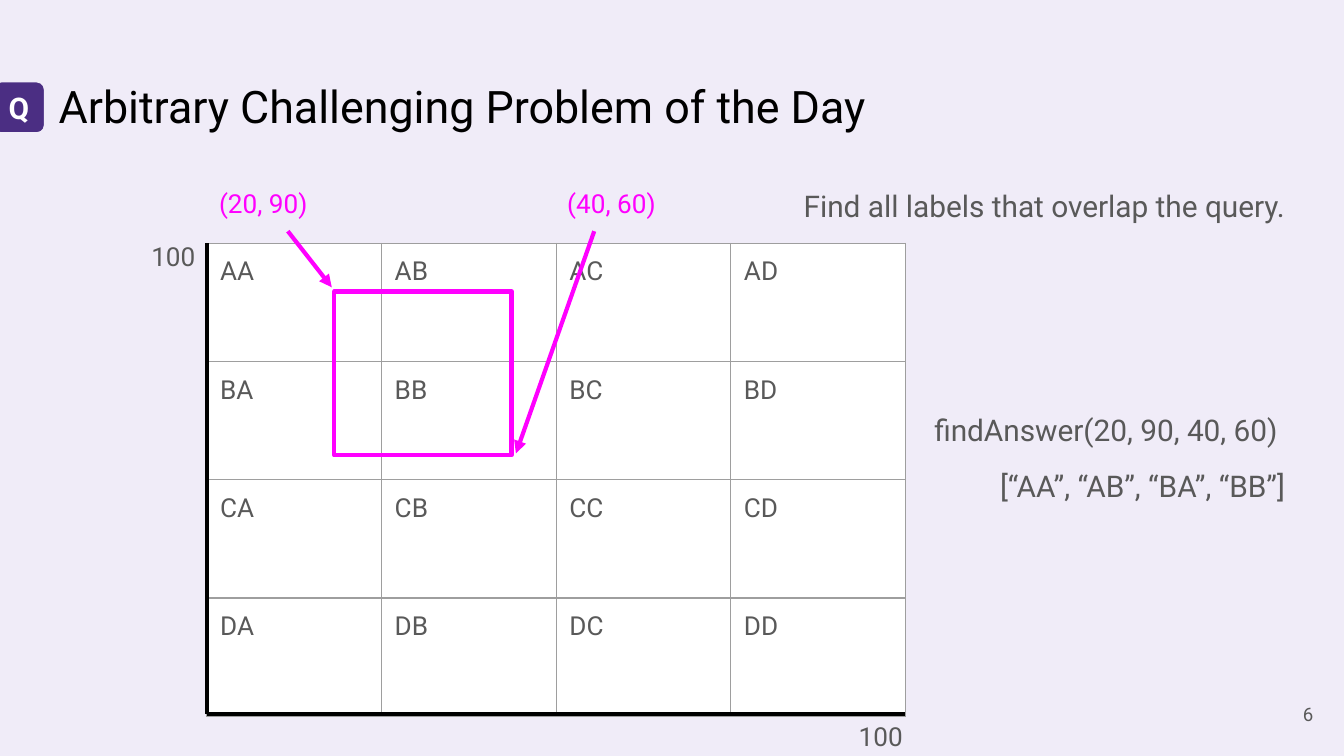
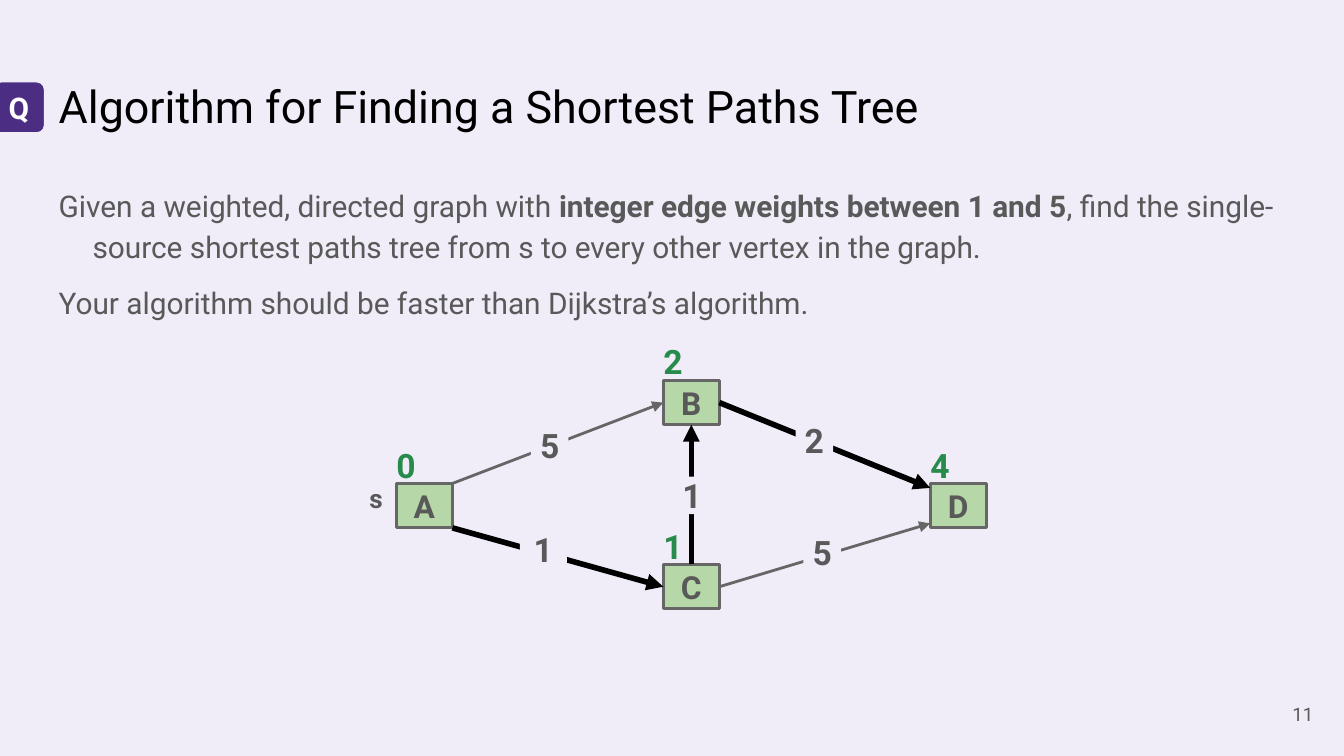
from dataclasses import dataclass
from pptx import Presentation
from pptx import util as u
from pptx.dml.color import RGBColor
from pptx.enum import shapes as sh, text as tx
from pptx.oxml import parse_xml
from pptx.oxml.ns import nsdecls
from lxml import etree

Cm, Pt = u.Cm, u.Pt
LEFT, MID, RIGHT = tx.PP_ALIGN.LEFT, tx.PP_ALIGN.CENTER, tx.PP_ALIGN.RIGHT
SITES = {(.5, 0): 0, (0, .5): 1, (.5, 1): 2, (1, .5): 3}


@dataclass(frozen=True)
class Theme:
    font: str = "Roboto"
    paper: str = "F0ECF8"
    white: str = "FFFFFF"
    black: str = "000000"
    grey: str = "595959"
    edge: str = "666666"
    rule: str = "9E9E9E"
    brand: str = "4B2E83"
    query: str = "FF00FF"
    node: str = "B6D7A8"
    dist: str = "278B4C"
    title: int = 24
    body: int = 16
    label: int = 14
    name: int = 17
    weight: int = 18
    page: int = 10


T = Theme()


def rgb(code):
    return RGBColor.from_string(code)


def style(par, size, color, bold=None, align=LEFT):
    par.alignment = align
    for run in par.runs:
        font = run.font
        font.name, font.size = T.font, Pt(size)
        font.color.rgb = rgb(color)
        if bold is not None:
            font.bold = bold


def inset(frame, side=.25, top=.25):
    frame.margin_left = frame.margin_right = Cm(side)
    frame.margin_top = frame.margin_bottom = Cm(top)


def write(shape, words, size, color, bold=False, align=LEFT, middle=False, side=.25):
    frame = shape.text_frame
    frame.word_wrap = True
    inset(frame, side)
    frame.vertical_anchor = tx.MSO_ANCHOR.MIDDLE if middle else tx.MSO_ANCHOR.TOP
    frame.text = words
    for par in frame.paragraphs:
        style(par, size, color, bold, align)
    return frame


def label(parts, box, words, size, color, **opts):
    return write(parts.add_textbox(*map(Cm, box)), words, size, color, **opts)


def block(parts, box, fill=None, line=None, width=1.5, kind=sh.MSO_SHAPE.RECTANGLE):
    shape = parts.add_shape(kind, *map(Cm, box))
    shape.shadow.inherit = False
    if fill:
        shape.fill.solid()
        shape.fill.fore_color.rgb = rgb(fill)
    else:
        shape.fill.background()
    if line:
        shape.line.color.rgb = rgb(line)
        shape.line.width = Pt(width)
    else:
        shape.line.fill.background()
    return shape


def link(parts, start, end, color, width, arrow=False):
    wire = parts.add_connector(sh.MSO_CONNECTOR.STRAIGHT, *map(Cm, (*start, *end)))
    wire.line.color.rgb = rgb(color)
    wire.line.width = Pt(width)
    if arrow:
        wire.line._get_or_add_ln().append(
            parse_xml(f'<a:tailEnd {nsdecls("a")} type="triangle"/>'))
    wire._element.spPr.append(parse_xml(f'<a:effectLst {nsdecls("a")}/>'))
    return wire


def frame(deck, title, page):
    """Add a slide with the shared title, badge and page number."""
    slide = deck.slides.add_slide(deck.slide_layouts[6])
    fill = slide.background.fill
    fill.solid()
    fill.fore_color.rgb = rgb(T.paper)
    parts = slide.shapes
    label(parts, (.86, 1.24, 23.67, 1.6), title, T.title, T.black)
    label(parts, (23.55, 12.95, 1.52, 1.1), str(page), T.page, T.grey,
          align=RIGHT, middle=True)
    badge = block(parts, (-.15, 1.52, 1.02, 1.02), T.brand, T.paper, 2.25,
                  sh.MSO_SHAPE.ROUNDED_RECTANGLE)
    write(badge, "Q", T.body, T.white, bold=True, align=MID, middle=True)
    return parts


def prose(parts, box, paras, gaps, align=LEFT, hang=0):
    """Write paragraphs, each a list of (words, bold), with gaps in points before."""
    body = parts.add_textbox(*map(Cm, box)).text_frame
    body.word_wrap = True
    inset(body)
    for i, (runs, gap) in enumerate(zip(paras, gaps)):
        par = body.add_paragraph() if i else body.paragraphs[0]
        if hang:
            props = par._p.get_or_add_pPr()
            props.set("marL", str(Cm(hang)))
            props.set("indent", str(-Cm(hang)))
        for words, bold in runs:
            run = par.add_run()
            run.text = words
            run.font.bold = bold
        style(par, T.body, T.grey, align=align)
        par.line_spacing = 1.15
        if gap:
            par.space_before = Pt(gap)


def border(cell):
    props = cell._tc.get_or_add_tcPr()
    for i, side in enumerate("LRTB"):
        props.insert(i, etree.fromstring(
            f'<a:ln{side} {nsdecls("a")} w="{Pt(.75)}"><a:solidFill>'
            f'<a:srgbClr val="{T.rule}"/></a:solidFill></a:ln{side}>'))


def grid(parts, box):
    """Draw the labelled cells with both axes."""
    x, y, w, h = box
    keys = "ABCD"
    table = parts.add_table(len(keys), len(keys), *map(Cm, box)).table
    table.first_row = table.horz_banding = False
    for r, row in enumerate(keys):
        table.rows[r].height = Cm(h / len(keys))
        table.columns[r].width = Cm(w / len(keys))
        for c, col in enumerate(keys):
            cell = table.cell(r, c)
            cell.text = row + col
            style(cell.text_frame.paragraphs[0], T.label, T.grey)
            inset(cell)
            cell.fill.solid()
            cell.fill.fore_color.rgb = rgb(T.white)
            border(cell)
    base = y + h - .04
    link(parts, (x, y), (x, base), T.black, 2.25)
    link(parts, (x, base), (x + w, base), T.black, 2.25)
    for dx, dy in ((w - 1.13, h - .18), (-1.3, -.3)):
        label(parts, (x + dx, y + dy, 1.6, .9), "100", T.label, T.grey)


def query(parts, box):
    """Mark the queried area, with an arrow to each of its two corners."""
    x, y, w, h = box
    block(parts, box, line=T.query, width=2.25)
    notes = (("(20, 90)", -2.43, (-.05, -.08)), ("(40, 60)", 4.15, (w + .08, h - .04)))
    for words, dx, tip in notes:
        label(parts, (x + dx, y - 2.21, 3, 1.22), words, T.label, T.query)
        start = (x + dx + (1.55 if dx < 0 else .76), y - 1.14)
        link(parts, start, (x + tip[0], y + tip[1]), T.query, 2.25, arrow=True)


def graph(parts, box):
    """Draw the weighted graph; tree edges are heavy and black."""
    x, y, w, h = box
    nw, nh = 1.06, .84
    group = parts.add_group_shape().shapes
    nodes = {}
    places = (("A", 0, .56, 0), ("B", .5, 0, 2), ("C", .5, 1, 1), ("D", 1, .56, 4))
    for name, fx, fy, dist in places:
        left, top = x + fx * (w - nw), y + fy * (h - nh)
        node = block(group, (left, top, nw, nh), T.node, T.edge)
        write(node, name, T.name, T.grey, bold=True, align=MID, middle=True)
        nodes[name] = node, left, top
        label(parts, (left - .17, top - .71, .71, .71), str(dist), T.weight, T.dist,
              bold=True, align=MID, middle=True, side=0)
    label(group, (x - .76, y + 1.68, .89, .91), "s", T.label, T.grey, bold=True)

    # tail, its side, head, its side, weight, weight centre, in tree
    edges = (("A", (1, 0), "B", (0, .5), 5, (2.9, 1.22), False),
             ("A", (1, 1), "C", (0, .5), 1, (2.78, 3.2), True),
             ("C", (1, .5), "D", (0, .9), 5, (8.05, 3.25), False),
             ("C", (.5, 0), "B", (.5, 1), 1, (5.59, 2.18), True),
             ("B", (1, .5), "D", (0, .1), 2, (7.9, 1.14), True))
    for tail, out, head, into, cost, (cx, cy), tree in edges:
        ends = [(nodes[n][1] + fx * nw, nodes[n][2] + fy * nh)
                for n, (fx, fy) in ((tail, out), (head, into))]
        wire = link(group, *ends, T.black if tree else T.edge, 3 if tree else 1.5, arrow=True)
        if out in SITES:
            wire.begin_connect(nodes[tail][0], SITES[out])
        if into in SITES:
            wire.end_connect(nodes[head][0], SITES[into])
        wide = .89 if (tail, head) == ("A", "C") else .71
        tag = block(group, (x + cx - wide / 2, y + cy - .36, wide, .71), T.paper)
        write(tag, str(cost), T.weight, T.grey, bold=True, align=MID, middle=True, side=0)


def overlap(deck):
    parts = frame(deck, "Arbitrary Challenging Problem of the Day", 6)
    prose(parts, (14.38, 3.2, 10.16, 6.6),
          [[("Find all labels that overlap the query.", False)],
           [("findAnswer(20, 90, 40, 60) ", False)],
           [("[“AA”, “AB”, “BA”, “BB”]", False)]],
          (0, 98, 8), align=RIGHT)
    x, y = 3.91, 4.6
    grid(parts, (x, y, 13.2, 8.94))
    query(parts, (x + 2.41, y + .91, 3.35, 3.1))


def paths(deck):
    parts = frame(deck, "Algorithm for Finding a Shortest Paths Tree", 11)
    prose(parts, (.86, 3.2, 23.67, 3.05),
          [[("Given a weighted, directed graph with ", False),
            ("integer edge weights between 1 and 5", True),
            (", find the single-source shortest paths tree from s to every other "
             "vertex in the graph.", False)],
           [("Your algorithm should be faster than Dijkstra’s algorithm.", False)]],
          (0, 8), hang=.64)
    graph(parts, (7.49, 7.19, 11.15, 4.32))


def main():
    deck = Presentation()
    deck.slide_width, deck.slide_height = Cm(25.4), Cm(14.29)
    overlap(deck)
    paths(deck)
    deck.save("out.pptx")


if __name__ == "__main__":
    main()
